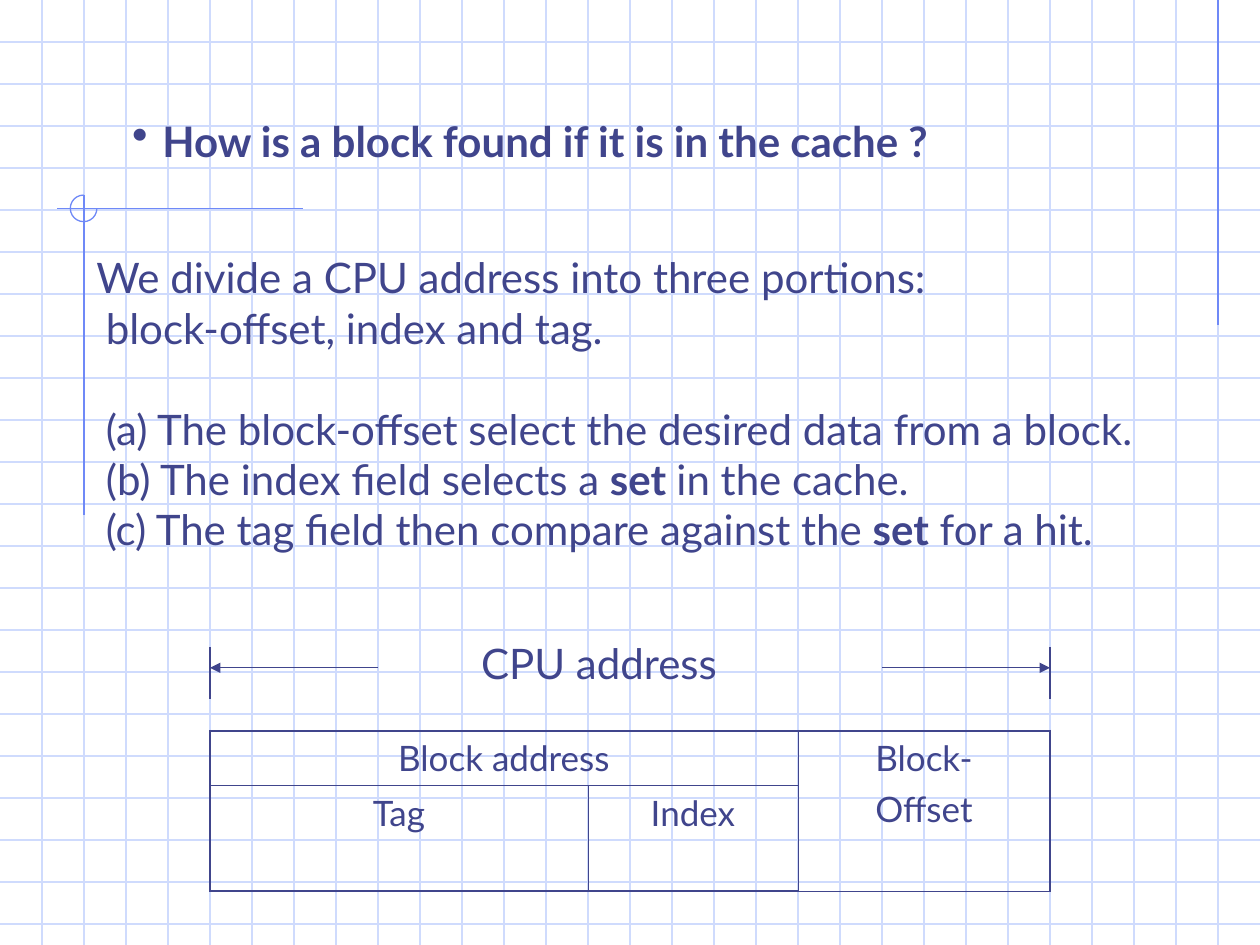
import pptx
import pptx.dml.color
import pptx.enum.shapes
import pptx.enum.text
import pptx.oxml
import pptx.oxml.ns
import pptx.util
from lxml import etree

Pt = pptx.util.Pt
qn = pptx.oxml.ns.qn
ALIGN = pptx.enum.text.PP_ALIGN


def colour(hex_code):
    return pptx.dml.color.RGBColor.from_string(hex_code)


def assign(target, values):
    for name, value in values.items():
        setattr(target, name, value)


class Sheet:
    ink = "40458C"
    grid = "CFDBFD"
    accent = "6F89F7"
    font = "Lato"
    hairline = 0.75
    outer_border = 1.08
    inner_border = 0.45

    def __init__(self, slide):
        self.slide = slide

    def line(self, start, end, hex_code, arrow=False):
        connector = self.slide.shapes.add_connector(
            pptx.enum.shapes.MSO_CONNECTOR.STRAIGHT, *map(Pt, start + end))
        connector.line.color.rgb = colour(hex_code)
        connector.line.width = Pt(self.hairline)
        if arrow:
            outline = connector._element.spPr.find(qn("a:ln"))
            etree.SubElement(outline, qn("a:tailEnd"), type="triangle")
        etree.SubElement(connector._element.spPr, qn("a:effectLst"))

    def three_quarter_arc(self, left, top, size):
        arc = self.slide.shapes.add_shape(
            pptx.enum.shapes.MSO_SHAPE.ARC, Pt(left), Pt(top), Pt(size), Pt(size))
        arc.adjustments[0] = 0
        arc.adjustments[1] = 162
        arc.shadow.inherit = False
        arc.fill.background()
        arc.line.color.rgb = colour(self.accent)
        arc.line.width = Pt(self.hairline)

    def fill_paragraph(self, paragraph, runs, size, **layout):
        assign(paragraph, layout)
        for text, bold in runs:
            run = paragraph.add_run()
            run.text = text
            assign(run.font, {"name": self.font, "size": Pt(size), "bold": bold})
            run.font.color.rgb = colour(self.ink)

    def text(self, left, top, width, height, wrap=False):
        box = self.slide.shapes.add_textbox(*map(Pt, (left, top, width, height)))
        assign(box.text_frame, {
            "word_wrap": wrap,
            "auto_size": pptx.enum.text.MSO_AUTO_SIZE.SHAPE_TO_FIT_TEXT,
        })
        return box.text_frame

    def indent(self, paragraph, margin, first=0):
        properties = paragraph._p.get_or_add_pPr()
        properties.set("marL", str(Pt(margin)))
        properties.set("indent", str(Pt(first)))
        return properties

    def bullet(self, paragraph, hanging):
        properties = self.indent(paragraph, hanging, -hanging)
        bullet_colour = etree.SubElement(properties, qn("a:buClr"))
        etree.SubElement(bullet_colour, qn("a:srgbClr"), val=self.ink)
        etree.SubElement(properties, qn("a:buSzPct"), val="110000")
        etree.SubElement(properties, qn("a:buChar"), char="•")

    def borders(self, cell, outer_sides):
        properties = cell._tc.get_or_add_tcPr()
        for position, side in enumerate("LRTB"):
            width = self.outer_border if side in outer_sides else self.inner_border
            border = etree.Element(qn(f"a:ln{side}"), w=str(Pt(width)))
            fill = etree.SubElement(border, qn("a:solidFill"))
            etree.SubElement(fill, qn("a:srgbClr"), val=self.ink)
            properties.insert(position, border)

    def table(self, left, top, widths, heights, merges, labels):
        frame = self.slide.shapes.add_table(
            len(heights), len(widths), Pt(left), Pt(top), Pt(sum(widths)), Pt(sum(heights)))
        table = frame.table
        assign(table, {"first_row": False, "horz_banding": False})
        for column, width in zip(table.columns, widths):
            column.width = Pt(width)
        for row, height in zip(table.rows, heights):
            row.height = Pt(height)
        for first, last in merges:
            table.cell(*first).merge(table.cell(*last))
        for row in range(len(heights)):
            for column in range(len(widths)):
                cell = table.cell(row, column)
                cell.fill.background()
                edges = {"T": row == 0, "B": row == len(heights) - 1,
                         "L": column == 0, "R": column == len(widths) - 1}
                self.borders(cell, [side for side, outer in edges.items() if outer])
        for position, lines in labels.items():
            text_frame = table.cell(*position).text_frame
            for number, label in enumerate(lines):
                paragraph = text_frame.add_paragraph() if number else text_frame.paragraphs[0]
                self.fill_paragraph(paragraph, [(label, False)], 20,
                                    alignment=ALIGN.CENTER, space_before=Pt(5 if number else 0))


def main():
    presentation = pptx.Presentation()
    width, height, pitch = 720, 540, 24
    assign(presentation, {"slide_width": Pt(width), "slide_height": Pt(height)})
    sheet = Sheet(presentation.slides.add_slide(presentation.slide_layouts[6]))

    for y in range(pitch, height, pitch):
        sheet.line((0, y), (width, y), sheet.grid)
    for x in range(pitch, width, pitch):
        sheet.line((x, 0), (x, height), sheet.grid)

    sheet.line((696, 0), (696, 186), sheet.accent)
    sheet.line((173, 119.2), (32.5, 119.2), sheet.accent)
    sheet.line((48, 111.5), (48, 294.5), sheet.accent)
    sheet.three_quarter_arc(40.2, 111.5, 15.2)

    question = sheet.text(68.4, 62.6, 513.4, 36).paragraphs[0]
    sheet.bullet(question, 17.3)
    sheet.fill_paragraph(question, [("How is a block found if it is in the cache ?", True)], 24)

    explanation = sheet.text(48, 140.4, 652.3, 180, wrap=True)
    statements = [
        (0, 0, [("We divide a CPU address into three portions:", False)]),
        (5.4, 0, [("block-offset, index and tag.", False)]),
        (5.4, 28.8, [("(a) The block-offset select the desired data from a block.", False)]),
        (5.4, 0, [("(b) The index field selects a ", False), ("set ", True),
                  ("in the cache.", False)]),
        (5.4, 0, [("(c) The tag field then compare against the ", False), ("set", True),
                  (" for a hit.", False)]),
    ]
    for number, (margin, gap, runs) in enumerate(statements):
        paragraph = explanation.add_paragraph() if number else explanation.paragraphs[0]
        sheet.indent(paragraph, margin)
        sheet.fill_paragraph(paragraph, runs, 24, space_before=Pt(gap))

    address_left, address_right, arrow_length = 120, 600, 96
    sheet.table(
        address_left, 417.6, [216, 120, 144], [31, 60.5],
        merges=[((0, 0), (0, 1)), ((0, 2), (1, 2))],
        labels={(0, 0): ["Block address"], (0, 2): ["Block-", "Offset"],
                (1, 0): ["Tag"], (1, 1): ["Index"]})

    for edge, inward in ((address_left, 1), (address_right, -1)):
        sheet.line((edge, 370), (edge, 399.6), sheet.ink)
        sheet.line((edge + inward * arrow_length, 381.6), (edge, 381.6), sheet.ink, arrow=True)

    address_title = sheet.text(267.8, 360.7, 157, 36).paragraphs[0]
    sheet.fill_paragraph(address_title, [("CPU address", False)], 24)

    presentation.save("out.pptx")


if __name__ == "__main__":
    main()
